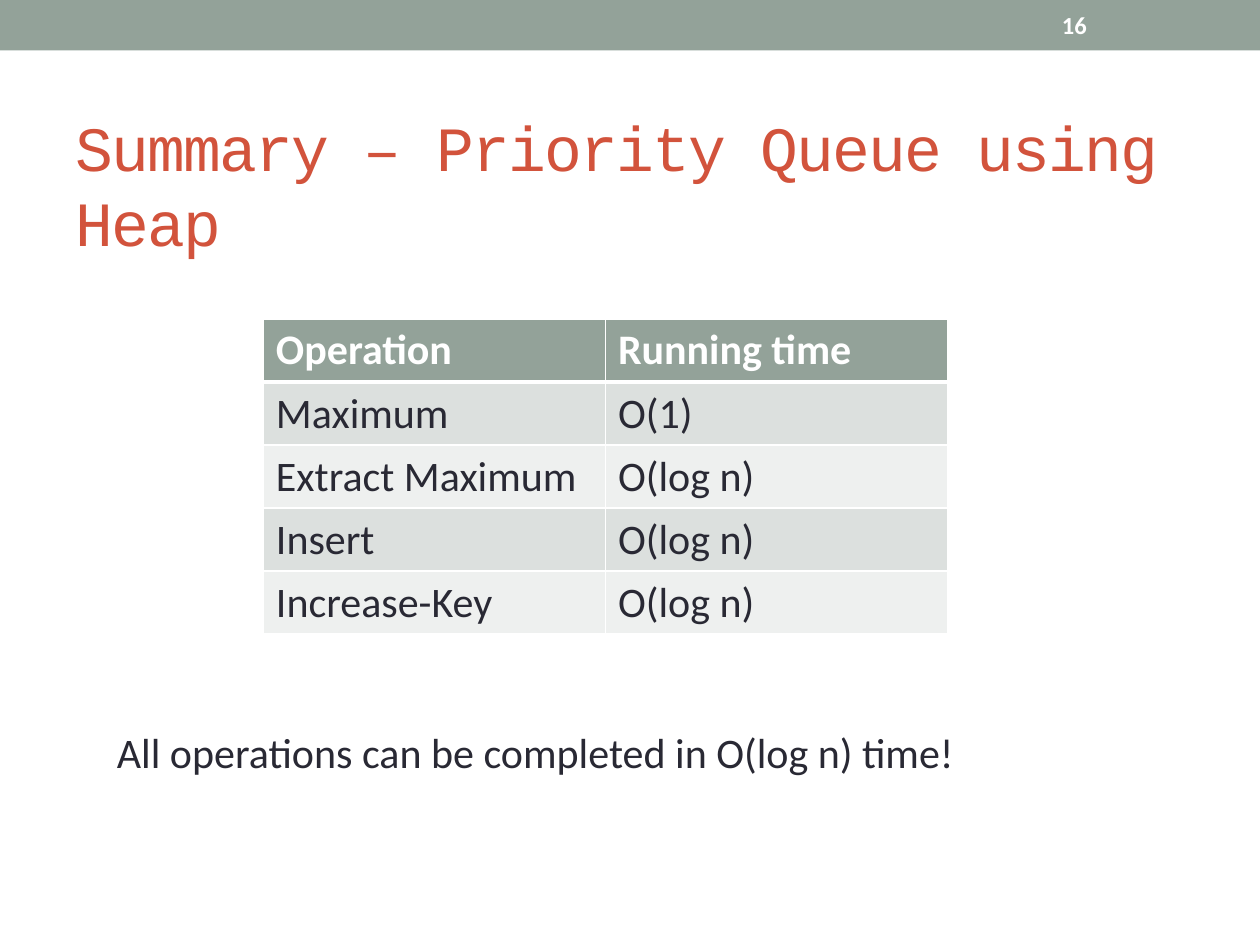
from dataclasses import dataclass

from pptx import Presentation
from pptx.dml.color import RGBColor
from pptx.enum import shapes, text as txt
from pptx.oxml import parse_xml
from pptx.oxml.ns import nsdecls
from pptx.util import Inches, Pt


@dataclass(frozen=True)
class Theme:
    sage: str = "93A299"
    red: str = "D2533C"
    ink: str = "292934"
    white: str = "FFFFFF"
    bands: tuple = ("DCE0DE", "EEF0EF")
    body: str = "Calibri"
    mono: str = "Courier New"
    head: int = 36
    main: int = 24
    small: int = 14


T = Theme()
ROWS = [
    ("Operation", "Running time"),
    ("Maximum", "O(1)"),
    ("Extract Maximum", "O(log n)"),
    ("Insert", "O(log n)"),
    ("Increase-Key", "O(log n)"),
]


def write(frame, words, size=T.main, color=T.ink, font=T.body, bold=False,
          anchor=txt.MSO_ANCHOR.TOP, wrap=True, track=0):
    """Fill a text frame with one run; track is letter spacing in points."""
    frame.word_wrap = wrap
    frame.vertical_anchor = anchor
    para = frame.paragraphs[0]
    para.alignment = txt.PP_ALIGN.LEFT
    run = para.add_run()
    run.text = words
    run.font.size = Pt(size)
    run.font.name = font
    run.font.bold = bold
    run.font.color.rgb = RGBColor.from_string(color)
    if track:
        run.font._element.set("spc", str(track * 100))


def paint(fill, color):
    fill.solid()
    fill.fore_color.rgb = RGBColor.from_string(color)


def edge(cell, low=1):
    """Draw white cell borders, the bottom one low points wide."""
    props = cell._tc.get_or_add_tcPr()
    sides = {"lnL": 1, "lnR": 1, "lnT": 1, "lnB": low}
    for spot, (side, wide) in enumerate(sides.items()):
        props.insert(spot, parse_xml(
            f'<a:{side} {nsdecls("a")} w="{Pt(wide)}"><a:solidFill>'
            f'<a:srgbClr val="{T.white}"/></a:solidFill></a:{side}>'))


def banner(slide, left, top, width, height, number):
    bar = slide.shapes.add_shape(
        shapes.MSO_SHAPE.RECTANGLE, left, top, width, height)
    bar.shadow.inherit = False
    paint(bar.fill, T.sage)
    bar.line.fill.background()
    pad = Inches(0.02)
    box = slide.shapes.add_textbox(
        left + width - Inches(1.67), top + pad, Inches(1.17), height - 2 * pad)
    write(box.text_frame, number, size=T.small, color=T.white, bold=True,
          anchor=txt.MSO_ANCHOR.MIDDLE)


def title(slide, left, top, width, height, words):
    head = slide.shapes.title
    head.left, head.top, head.width, head.height = left, top, width, height
    write(head.text_frame, words, size=T.head, color=T.red, font=T.mono,
          anchor=txt.MSO_ANCHOR.MIDDLE, track=-1)


def costs(slide, left, top, width, height, rows):
    """Place the table of running times."""
    grid = slide.shapes.add_table(
        len(rows), len(rows[0]), left, top, width, height).table
    for r, row in enumerate(rows):
        first = r == 0
        for c, words in enumerate(row):
            cell = grid.cell(r, c)
            paint(cell.fill, T.sage if first else T.bands[(r - 1) % 2])
            edge(cell, low=3 if first else 1)
            write(cell.text_frame, words, bold=first,
                  color=T.white if first else T.ink)


def note(slide, left, top, width, height, words):
    box = slide.shapes.add_textbox(left, top, width, height)
    write(box.text_frame, words, wrap=False)
    box.text_frame.auto_size = txt.MSO_AUTO_SIZE.SHAPE_TO_FIT_TEXT


def main():
    deck = Presentation()
    deck.slide_width, deck.slide_height = Inches(10), Inches(7.5)
    slide = deck.slides.add_slide(deck.slide_layouts.get_by_name("Title Only"))
    banner(slide, 0, 0, deck.slide_width, Inches(0.4), "16")
    title(slide, Inches(0.5), Inches(0.92), Inches(9), Inches(1.08),
          "Summary – Priority Queue using Heap")
    costs(slide, Inches(2.09), Inches(2.53), Inches(5.43), Inches(2.5), ROWS)
    note(slide, Inches(0.83), Inches(5.72), Inches(6.97), Inches(0.5),
         "All operations can be completed in O(log n) time!")
    deck.save("out.pptx")


if __name__ == "__main__":
    main()
